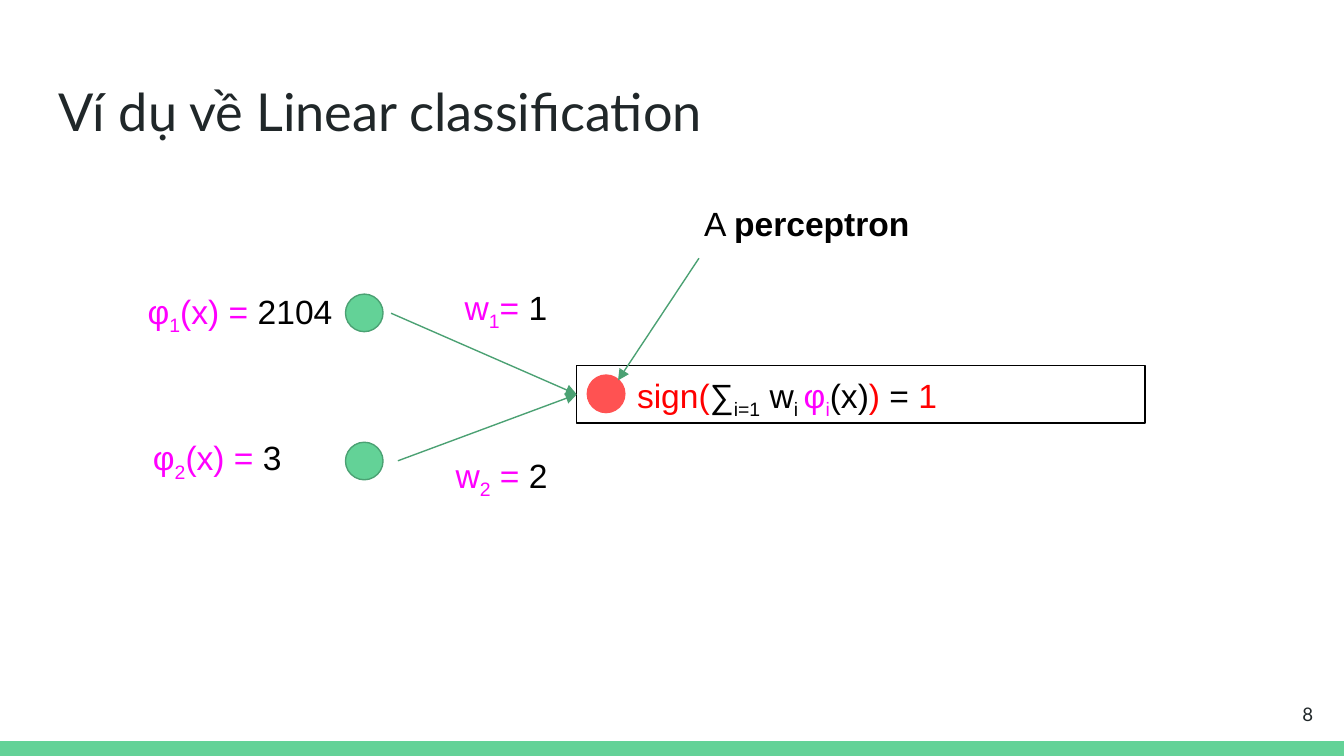
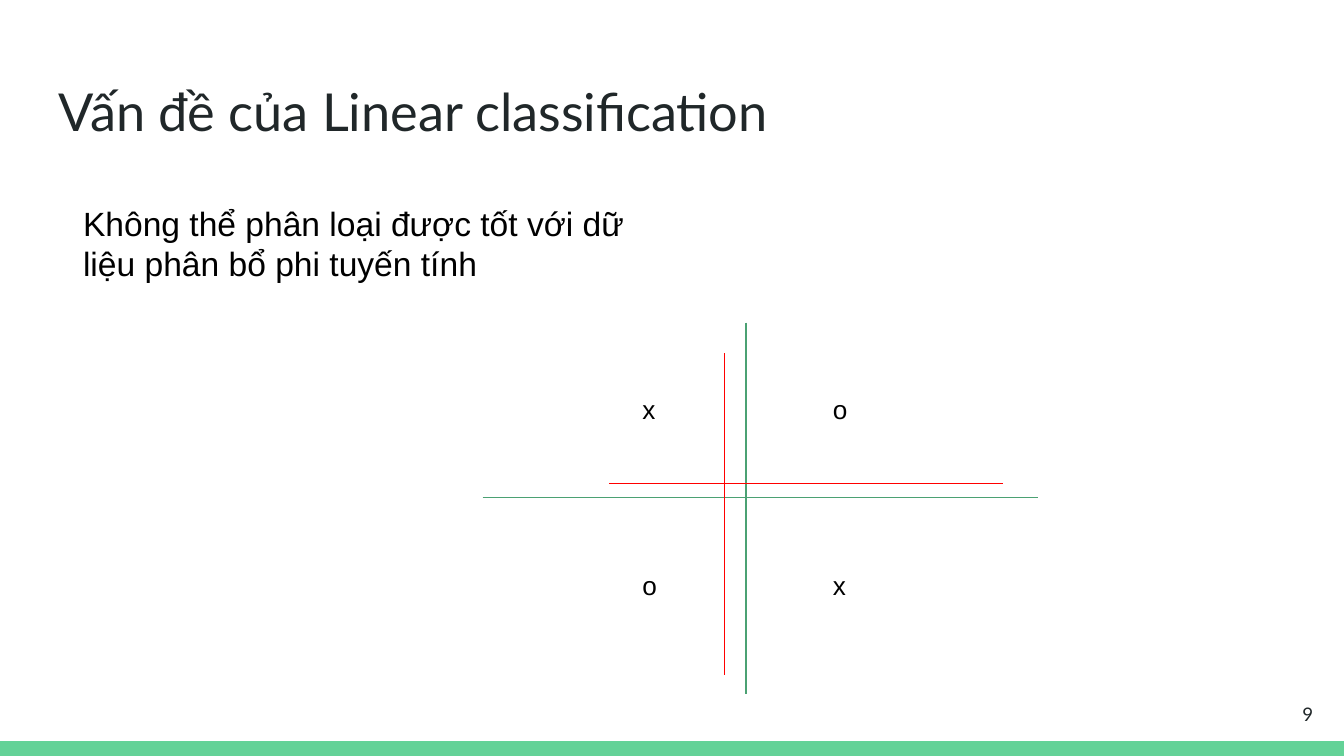
from dataclasses import dataclass

from lxml import etree
from pptx import Presentation
from pptx.dml.color import RGBColor
from pptx.enum.shapes import MSO_CONNECTOR, MSO_SHAPE
from pptx.enum.text import MSO_ANCHOR, MSO_AUTO_SIZE, PP_ALIGN
from pptx.oxml.ns import qn
from pptx.util import Cm, Pt

STRAIGHT = MSO_CONNECTOR.STRAIGHT
RECTANGLE, OVAL = MSO_SHAPE.RECTANGLE, MSO_SHAPE.OVAL
TOP, MIDDLE = MSO_ANCHOR.TOP, MSO_ANCHOR.MIDDLE
LEFT, RIGHT = PP_ALIGN.LEFT, PP_ALIGN.RIGHT
LEFT_SIDE = 1
TITLE_ONLY = 5


@dataclass(frozen=True)
class Theme:
    green: RGBColor = RGBColor(0x63, 0xD2, 0x97)
    dark_green: RGBColor = RGBColor(0x4B, 0xA1, 0x73)
    coral: RGBColor = RGBColor(0xFF, 0x52, 0x52)
    red: RGBColor = RGBColor(0xFF, 0x00, 0x00)
    magenta: RGBColor = RGBColor(0xFF, 0x00, 0xFF)
    black: RGBColor = RGBColor(0x00, 0x00, 0x00)
    ink: RGBColor = RGBColor(0x20, 0x27, 0x29)
    heading_font: str = "Lato"
    body_font: str = "Arial"
    title_size: int = 28
    body_size: int = 18
    mark_size: int = 14
    number_size: int = 10
    line_width: float = 0.75


THEME = Theme()


def add_run(paragraph, text, *, size=THEME.body_size, font=THEME.body_font,
            color=THEME.black, bold=False, subscript=False):
    run = paragraph.add_run()
    run.text = text
    run.font.size = Pt(size)
    run.font.name = font
    run.font.color.rgb = color
    if bold:
        run.font.bold = True
    if subscript:
        run._r.get_or_add_rPr().set("baseline", "-25000")


def write_text(shape, runs, *, anchor=TOP, align=LEFT, left_inset=0.25,
               line_spacing=None, **run_format):
    """Fill a shape with one paragraph; runs are (text, format) pairs."""
    frame = shape.text_frame
    frame.word_wrap = True
    frame.auto_size = MSO_AUTO_SIZE.NONE
    frame.vertical_anchor = anchor
    frame.margin_left = Cm(left_inset)
    frame.margin_top = frame.margin_right = frame.margin_bottom = Cm(0.25)
    paragraph = frame.paragraphs[0]
    paragraph.alignment = align
    if line_spacing:
        paragraph.line_spacing = line_spacing
    for text, own_format in runs:
        add_run(paragraph, text, **{**run_format, **own_format})


def add_text(slide, box, runs, **text_format):
    shape = slide.shapes.add_textbox(*map(Cm, box))
    write_text(shape, runs, **text_format)


def add_shape(slide, kind, box, *, fill=None, line=None):
    shape = slide.shapes.add_shape(kind, *map(Cm, box))
    shape.shadow.inherit = False
    if fill is None:
        shape.fill.background()
    else:
        shape.fill.solid()
        shape.fill.fore_color.rgb = fill
    if line is None:
        shape.line.fill.background()
    else:
        shape.line.color.rgb = line
        shape.line.width = Pt(THEME.line_width)
    return shape


def add_node(slide, left, top, fill, line):
    add_shape(slide, OVAL, (left, top, 0.71, 0.71), fill=fill, line=line)


def add_line(slide, start, end, *, color=THEME.dark_green, arrow=False):
    connector = slide.shapes.add_connector(STRAIGHT, *map(Cm, (*start, *end)))
    connector.line.color.rgb = color
    connector.line.width = Pt(THEME.line_width)
    if arrow:
        outline = connector.line._get_or_add_ln()
        etree.SubElement(outline, qn("a:tailEnd"), type="triangle")
    etree.SubElement(connector._element.spPr, qn("a:effectLst"))
    return connector


def add_cross(slide, x, top, bottom, y, left, right, color):
    add_line(slide, (x, top), (x, bottom), color=color)
    add_line(slide, (left, y), (right, y), color=color)


def add_slide(presentation, title, number):
    """Add a slide with the shared band, title and page number."""
    slide = presentation.slides.add_slide(presentation.slide_layouts[TITLE_ONLY])
    heading = slide.shapes.title
    heading.left, heading.top = Cm(0.86), Cm(1.24)
    heading.width, heading.height = Cm(23.67), Cm(1.6)
    write_text(heading, [(title, {})], size=THEME.title_size,
               font=THEME.heading_font, color=THEME.ink)
    add_shape(slide, RECTANGLE, (0, 14.01, 25.4, 0.28), fill=THEME.green)
    add_text(slide, (23.55, 12.95, 1.52, 1.09), [(str(number), {})],
             anchor=MIDDLE, align=RIGHT, size=THEME.number_size,
             font=THEME.heading_font, color=THEME.ink)
    return slide


def add_indexed_value(slide, box, symbol, index, equals, value):
    pink = {"color": THEME.magenta}
    runs = [(symbol, pink), (index, {**pink, "subscript": True}),
            (equals, pink), (value, {})]
    add_text(slide, box, runs, anchor=MIDDLE)


def build_perceptron_slide(presentation):
    slide = add_slide(presentation, "Ví dụ về Linear classification", 8)

    # Inputs and weights
    add_indexed_value(slide, (2.54, 5.38, 4.88, 1.09), "φ", "1", "(x) = ", "2104")
    add_indexed_value(slide, (2.64, 8.15, 4.88, 1.09), "φ", "2", "(x) = ", "3")
    add_indexed_value(slide, (8.53, 5.31, 2.36, 1.09), "w", "1", "= ", "1")
    add_indexed_value(slide, (8.36, 8.48, 2.74, 1.09), "w", "2", " = ", "2")

    # Output formula
    output = add_shape(slide, RECTANGLE, (10.9, 6.91, 10.74, 1.09), line=THEME.black)
    red, pink, low = {"color": THEME.red}, {"color": THEME.magenta}, {"subscript": True}
    formula = [("sign(", red), ("∑", {}), ("i=1", low), (" w", {}), ("i ", low),
               ("φ", pink), ("i", {**pink, **low}), ("(x)", {}), (")", red),
               (" = ", {}), ("1", red)]
    write_text(output, formula, anchor=MIDDLE, left_inset=1.14, line_spacing=1.15)

    # Arrows from the inputs to the output
    for start in ((7.39, 5.92), (7.52, 8.71)):
        arrow = add_line(slide, start, (10.9, 7.45), arrow=True)
        arrow.end_connect(output, LEFT_SIDE)

    # Nodes
    for top in (5.56, 8.36):
        add_node(slide, 6.53, top, THEME.green, THEME.dark_green)
    add_node(slide, 11.1, 7.09, THEME.coral, THEME.coral)

    # Callout
    add_text(slide, (13.06, 3.58, 5.23, 1.3),
             [("A ", {}), ("perceptron", {"bold": True})])
    add_line(slide, (13.21, 4.88), (11.68, 7.19), arrow=True)


def build_problem_slide(presentation):
    slide = add_slide(presentation, "Vấn đề của Linear classification", 9)

    # Axes
    add_cross(slide, 14.1, 6.1, 13.11, 9.4, 9.12, 19.61, THEME.dark_green)

    # Data points, one in each quadrant
    for top, marks in ((7.19, "xo"), (10.52, "ox")):
        for left, mark in zip((11.89, 15.49), marks):
            add_text(slide, (left, top, 1.02, 0.94), [(mark, {})],
                     size=THEME.mark_size)

    add_text(slide, (1.32, 3.58, 11.58, 2.26),
             [("Không thể phân loại được tốt với dữ liệu phân bổ phi tuyến tính", {})])

    # Candidate separating lines
    add_cross(slide, 13.69, 6.68, 12.75, 9.14, 11.51, 18.95, THEME.red)


def main():
    presentation = Presentation()
    presentation.slide_width, presentation.slide_height = Cm(25.4), Cm(14.29)
    build_perceptron_slide(presentation)
    build_problem_slide(presentation)
    presentation.save("out.pptx")


if __name__ == "__main__":
    main()
